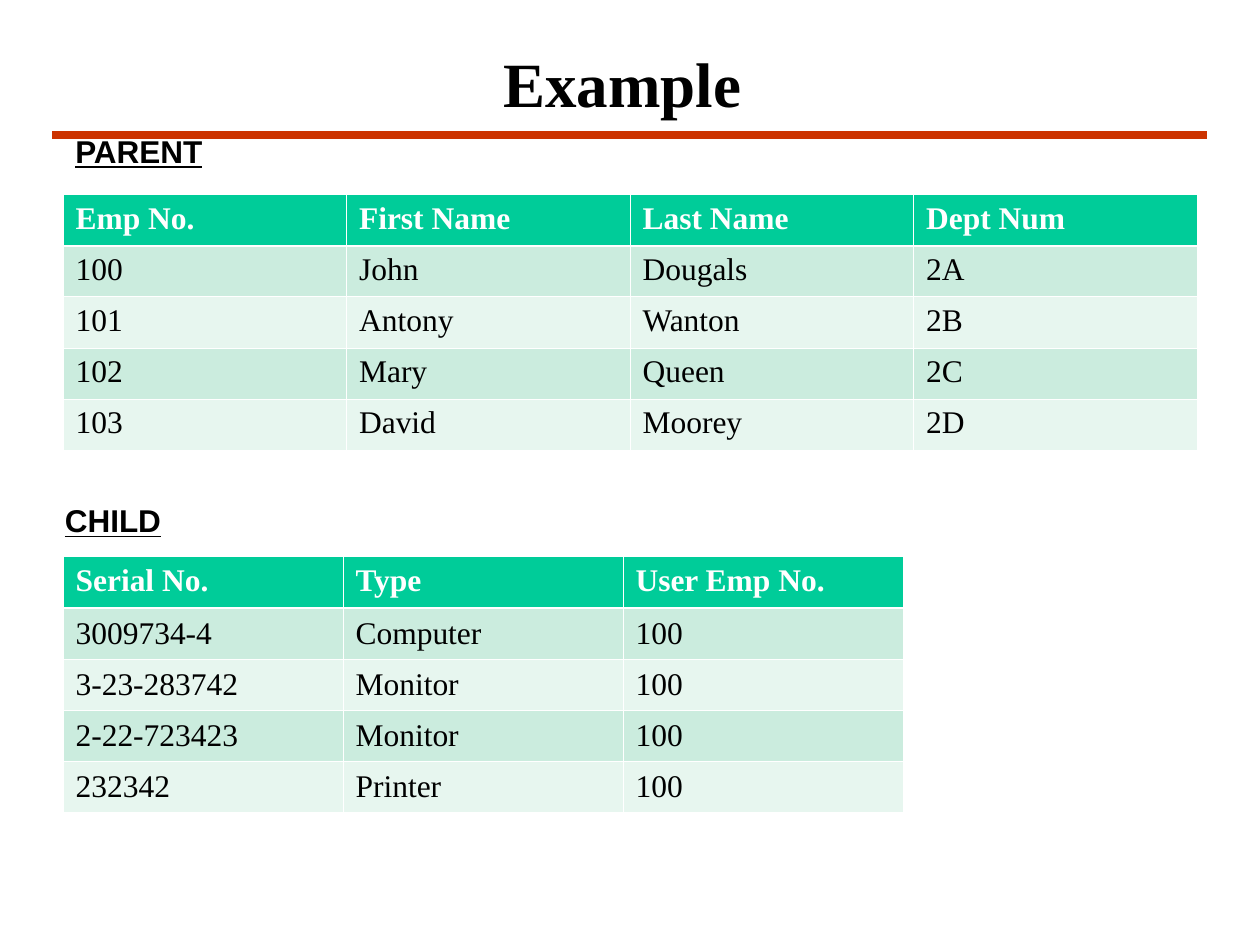
import pptx
import pptx.util
import pptx.dml.color
import pptx.enum.shapes
import pptx.enum.text
import pptx.oxml.ns
import lxml.etree

Pt = pptx.util.Pt
RGB = pptx.dml.color.RGBColor.from_string
PP_ALIGN = pptx.enum.text.PP_ALIGN
MSO_ANCHOR = pptx.enum.text.MSO_ANCHOR
qn = pptx.oxml.ns.qn

COLORS = {
    "text": "000000",
    "white": "FFFFFF",
    "rule": "CC3300",
    "header": "00CC99",
    "band_dark": "CBECDE",
    "band_light": "E7F6EF",
}


def set_text(tf, text, font="Times New Roman", size=18, color="text",
             bold=False, underline=False, align=PP_ALIGN.LEFT):
    p = tf.paragraphs[0]
    p.alignment = align
    r = p.add_run()
    r.text = text
    r.font.name = font
    r.font.size = Pt(size)
    r.font.bold = bold
    r.font.underline = underline
    r.font.color.rgb = RGB(COLORS[color])


def set_border(cell, side, width):
    ln = lxml.etree.SubElement(cell._tc.get_or_add_tcPr(), qn("a:ln" + side), w=str(Pt(width)))
    fill = lxml.etree.SubElement(ln, qn("a:solidFill"))
    lxml.etree.SubElement(fill, qn("a:srgbClr"), val=COLORS["white"])


prs = pptx.Presentation()
prs.slide_width, prs.slide_height = Pt(720), Pt(540)
s = prs.slides.add_slide(prs.slide_layouts[5])

# Title and the rule below it
title = s.shapes.title
title.left, title.top, title.width, title.height = Pt(36), Pt(21.6), Pt(648), Pt(50.4)
title.text_frame.vertical_anchor = MSO_ANCHOR.MIDDLE
set_text(title.text_frame, "Example ", size=36, bold=True, align=PP_ALIGN.CENTER)

rule = s.shapes.add_connector(pptx.enum.shapes.MSO_CONNECTOR.STRAIGHT,
                              Pt(30), Pt(77), Pt(690), Pt(77))
rule.line.color.rgb = RGB(COLORS["rule"])
rule.line.width = Pt(4.5)
lxml.etree.SubElement(rule._element.spPr, qn("a:effectLst"))

# Tables: top, column width, anchor of body cells, rows
tables = [
    (111.2, 162, MSO_ANCHOR.TOP, [
        ["Emp No.", "First Name", "Last Name", "Dept Num"],
        ["100", "John", "Dougals", "2A"],
        ["101", "Antony", "Wanton", "2B"],
        ["102", "Mary", "Queen", "2C"],
        ["103", "David", "Moorey", "2D"],
    ]),
    (318.2, 160, MSO_ANCHOR.MIDDLE, [
        ["Serial No.", "Type", "User Emp No."],
        ["3009734-4", "Computer", "100"],
        ["3-23-283742", "Monitor", "100"],
        ["2-22-723423", "Monitor", "100"],
        ["232342", "Printer", "100"],
    ]),
]
row_height = 29.2
for top, col_width, body_anchor, rows in tables:
    n_rows, n_cols = len(rows), len(rows[0])
    table = s.shapes.add_table(n_rows, n_cols, Pt(36), Pt(top),
                               Pt(col_width * n_cols), Pt(row_height * n_rows)).table
    for col in table.columns:
        col.width = Pt(col_width)
    for i, values in enumerate(rows):
        table.rows[i].height = Pt(row_height)
        is_header = i == 0
        band = "header" if is_header else "band_dark" if i % 2 else "band_light"
        for j, value in enumerate(values):
            cell = table.cell(i, j)
            cell.vertical_anchor = MSO_ANCHOR.TOP if is_header else body_anchor
            for side in "LRTB":
                thick = (i, side) in ((0, "B"), (1, "T"))
                set_border(cell, side, 1.47 if thick else 0.45)
            cell.fill.solid()
            cell.fill.fore_color.rgb = RGB(COLORS[band])
            set_text(cell.text_frame, value, bold=is_header,
                     color="white" if is_header else "text")

# Table captions
for caption, left, top in [("PARENT", 36, 72), ("CHILD", 30, 283)]:
    tf = s.shapes.add_textbox(Pt(left), Pt(top), Pt(174), Pt(29)).text_frame
    tf.word_wrap = True
    tf.auto_size = pptx.enum.text.MSO_AUTO_SIZE.SHAPE_TO_FIT_TEXT
    set_text(tf, caption, font="Arial", bold=True, underline=True)

prs.save("out.pptx")
